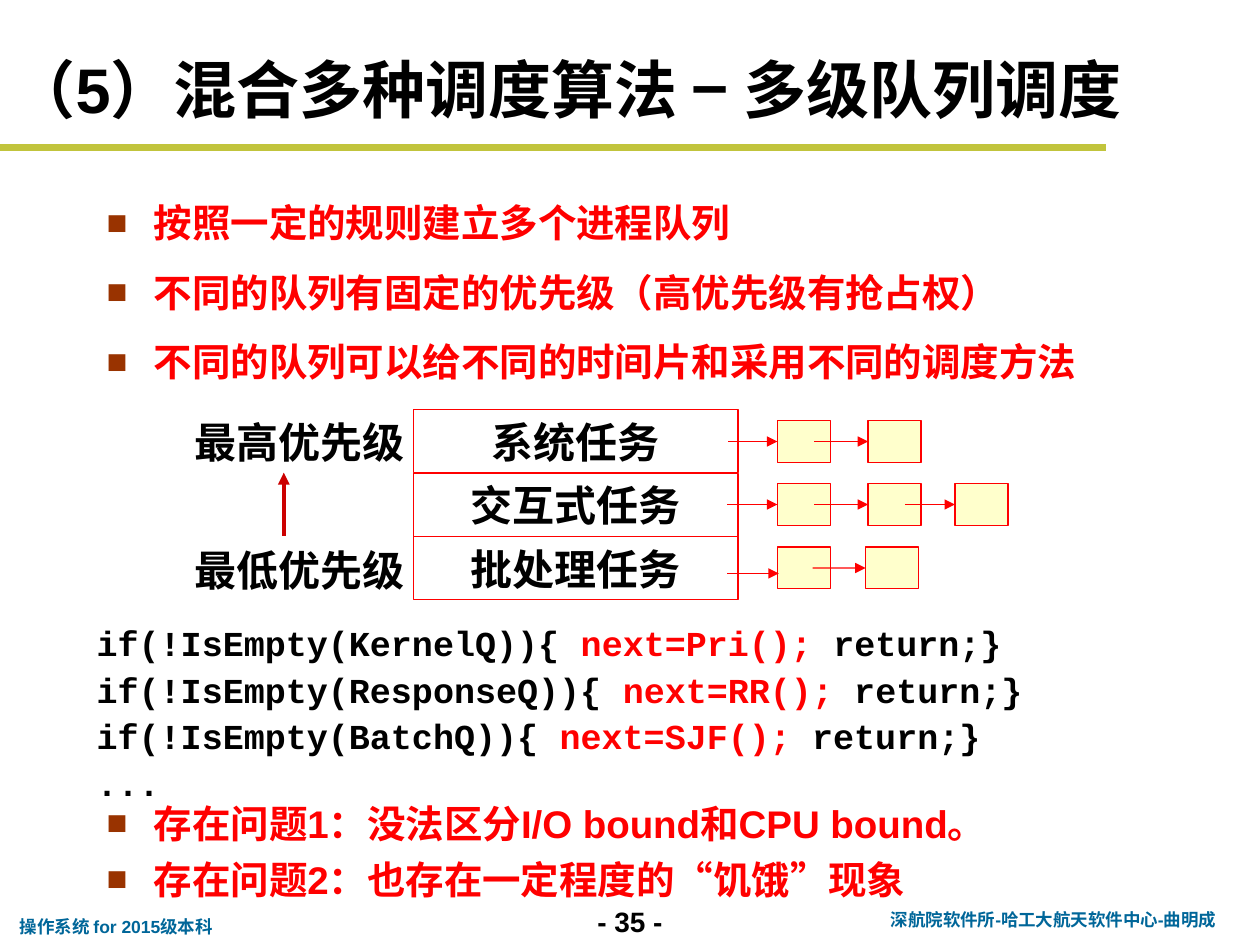
import pptx
import pptx.dml.color
import pptx.enum.shapes
import pptx.enum.text
import pptx.oxml
import pptx.oxml.ns
import pptx.util

Cm = pptx.util.Cm
Pt = pptx.util.Pt
RGBColor = pptx.dml.color.RGBColor
ALIGN = pptx.enum.text.PP_ALIGN
ANCHOR = pptx.enum.text.MSO_ANCHOR

BLACK = RGBColor(0x00, 0x00, 0x00)
RED = RGBColor(0xFF, 0x00, 0x00)
DARK_RED = RGBColor(0xCC, 0x00, 0x00)
CREAM = RGBColor(0xFF, 0xFF, 0xCC)
OLIVE = RGBColor(0xC1, 0xC4, 0x3C)
TEAL = RGBColor(0x00, 0x66, 0x99)
BROWN = RGBColor(0x99, 0x33, 0x00)

INDENT = Cm(0.95)


def append_xml(parent, tag, **attributes):
    element = pptx.oxml.parse_xml(f"<a:{tag} {pptx.oxml.ns.nsdecls('a')}/>")
    for name, value in attributes.items():
        element.set(name, str(value))
    parent.append(element)
    return element


def add_bullet(properties):
    color = append_xml(properties, "buClr")
    append_xml(color, "srgbClr", val=BROWN)
    append_xml(properties, "buSzPct", val=90000)
    append_xml(properties, "buFont", typeface="Arial")
    append_xml(properties, "buChar", char="■")


def write_text(shape, paragraphs, size=24, color=BLACK, font="Arial", align=ALIGN.LEFT,
               anchor=ANCHOR.TOP, wrap=True, spacing=1.0, before=0, hanging=False, bullet=False):
    frame = shape.text_frame
    frame.word_wrap = wrap
    frame.auto_size = pptx.enum.text.MSO_AUTO_SIZE.NONE
    frame.vertical_anchor = anchor
    for index, content in enumerate(paragraphs):
        paragraph = frame.add_paragraph() if index else frame.paragraphs[0]
        paragraph.alignment = align
        paragraph.line_spacing = spacing
        paragraph.space_before = Pt(before if index else 0)
        properties = paragraph._p.get_or_add_pPr()
        if hanging or bullet:
            properties.set("marL", str(INDENT))
            properties.set("indent", str(-INDENT))
        if bullet:
            add_bullet(properties)
        runs = [(content, color)] if isinstance(content, str) else content
        for text, run_color in runs:
            run = paragraph.add_run()
            run.text = text
            run.font.name = font
            run.font.size = Pt(size)
            run.font.bold = True
            run.font.color.rgb = run_color


class SlideBuilder:
    def __init__(self, presentation):
        self.slide = presentation.slides.add_slide(presentation.slide_layouts[5])
        self.shapes = self.slide.shapes

    def title(self, text, left, top, width, height):
        shape = self.shapes.title
        shape.left, shape.top = Cm(left), Cm(top)
        shape.width, shape.height = Cm(width), Cm(height)
        write_text(shape, [text], size=36, anchor=ANCHOR.MIDDLE)

    def text(self, paragraphs, left, top, width, height, **style):
        shape = self.shapes.add_textbox(Cm(left), Cm(top), Cm(width), Cm(height))
        write_text(shape, paragraphs, **style)

    def box(self, left, top, width, height, fill=None):
        shape = self.shapes.add_shape(pptx.enum.shapes.MSO_SHAPE.RECTANGLE,
                                      Cm(left), Cm(top), Cm(width), Cm(height))
        shape.shadow.inherit = False
        if fill is None:
            shape.fill.background()
        else:
            shape.fill.solid()
            shape.fill.fore_color.rgb = fill
        shape.line.color.rgb = RED
        shape.line.width = Pt(0.75)
        return shape

    def line(self, start, end, color=RED, width=0.75, arrow=True, target=None):
        connector = self.shapes.add_connector(pptx.enum.shapes.MSO_CONNECTOR.STRAIGHT,
                                              *map(Cm, start + end))
        if target is not None:
            connector.end_connect(target, 1)
        connector.line.color.rgb = color
        connector.line.width = Pt(width)
        if arrow:
            append_xml(connector.line._get_or_add_ln(), "tailEnd", type="triangle")
        append_xml(connector._element.spPr, "effectLst")


def add_queues(builder):
    task_left, task_top, task_width, task_height, task_pitch = 8.33, 8.26, 6.55, 1.27, 1.28
    process_width, process_height = 1.07, 0.84
    queues = [
        ("系统任务", 8.48, [(15.67, 14.68), (17.5, 16.41)]),
        ("交互式任务", 9.75, [(15.67, 14.66), (17.5, 16.41), (19.25, 18.24)]),
        ("批处理任务", 11.03, [(15.67, 14.66), (17.45, 16.38)]),
    ]
    for row, (name, top, processes) in enumerate(queues):
        task = builder.box(task_left, task_top + row * task_pitch, task_width, task_height)
        write_text(task, [name], align=ALIGN.CENTER, anchor=ANCHOR.MIDDLE)
        boxes = [builder.box(left, top, process_width, process_height, CREAM)
                 for left, _ in processes]
        middle = top + process_height / 2
        for column, (left, start) in enumerate(processes):
            if row == 2 and column == 0:
                builder.line((start, 11.56), (left + 0.03, 11.56))
            else:
                builder.line((start, middle), (left, middle), target=boxes[column])

    for label, top in [("最高优先级", 8.28), ("最低优先级", 10.85)]:
        builder.text([label], 3.68, top, 4.72, 1.27, wrap=False)
    builder.line((5.72, 10.8), (5.72, 9.53), color=DARK_RED, width=2.25)


def main():
    presentation = pptx.Presentation()
    presentation.slide_width, presentation.slide_height = Cm(25.4), Cm(19.05)
    builder = SlideBuilder(presentation)

    builder.text(["- 35 -"], 11.43, 18.11, 2.54, 0.94, size=16, align=ALIGN.CENTER)
    builder.line((0, 2.97), (22.3, 2.97), color=OLIVE, width=4, arrow=False)
    builder.text(["深航院软件所-哈工大航天软件中心-曲明成"], 17.35, 18.21, 7.77, 0.69,
                 size=10, color=TEAL, align=ALIGN.CENTER)
    builder.text(["操作系统 for 2015级本科"], 0.15, 18.34, 4.55, 0.69,
                 size=10, color=TEAL, wrap=False)
    builder.title("（5）混合多种调度算法 − 多级队列调度", 0, 0.84, 25.4, 1.88)

    bullets = dict(size=22, color=RED, before=5.5, bullet=True)
    builder.text(["按照一定的规则建立多个进程队列",
                  "不同的队列有固定的优先级（高优先级有抢占权）",
                  "不同的队列可以给不同的时间片和采用不同的调度方法"],
                 1.9, 3.61, 20.52, 4.88, spacing=1.3, **bullets)

    add_queues(builder)

    rules = [("KernelQ", "Pri"), ("ResponseQ", "RR"), ("BatchQ", "SJF")]
    code = [[(f"if(!IsEmpty({queue})){{ ", BLACK), (f"next={policy}();", RED), (" return;}", BLACK)]
            for queue, policy in rules]
    builder.text(code + ["..."], 1.7, 12.5, 23.7, 4.45, size=20, font="Courier New",
                 spacing=0.9, before=5, hanging=True)
    builder.text(["存在问题1：没法区分I/O bound和CPU bound。",
                  "存在问题2：也存在一定程度的“饥饿”现象"],
                 1.9, 16, 21.8, 2.41, **bullets)

    presentation.save("out.pptx")


if __name__ == "__main__":
    main()
